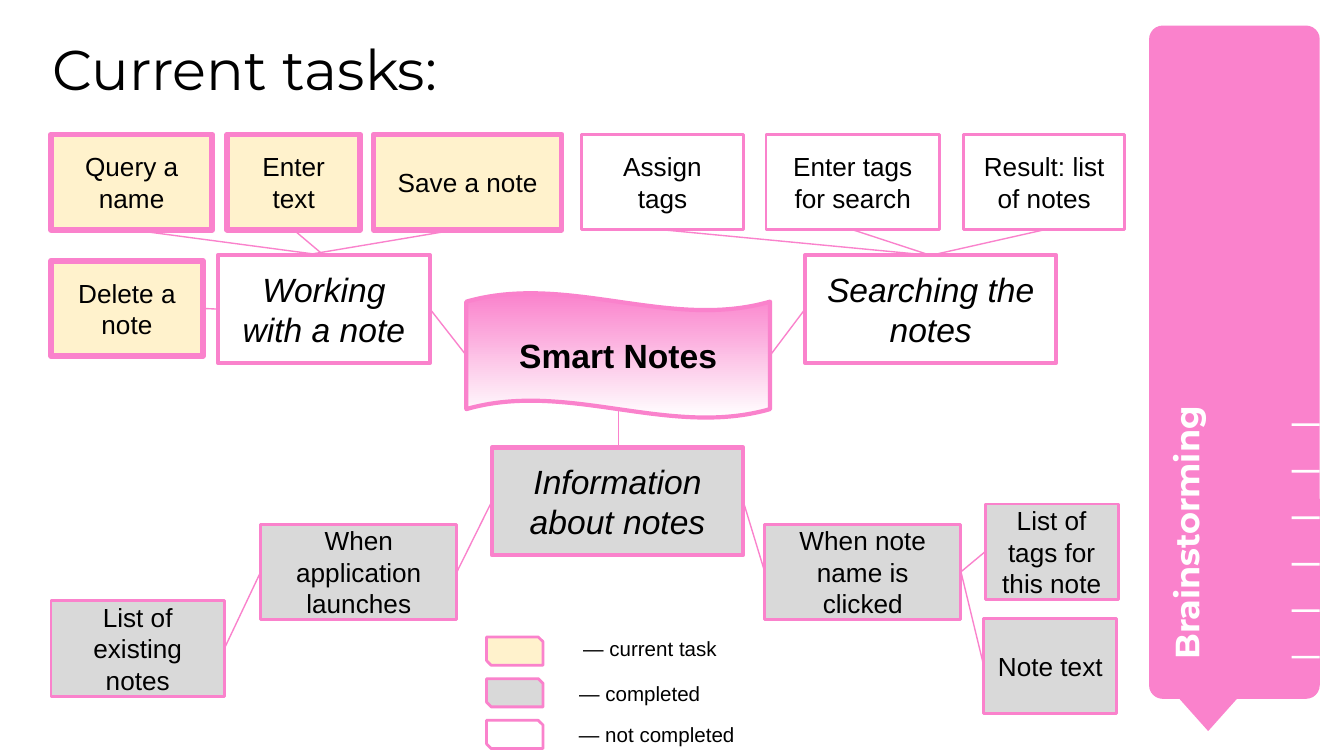
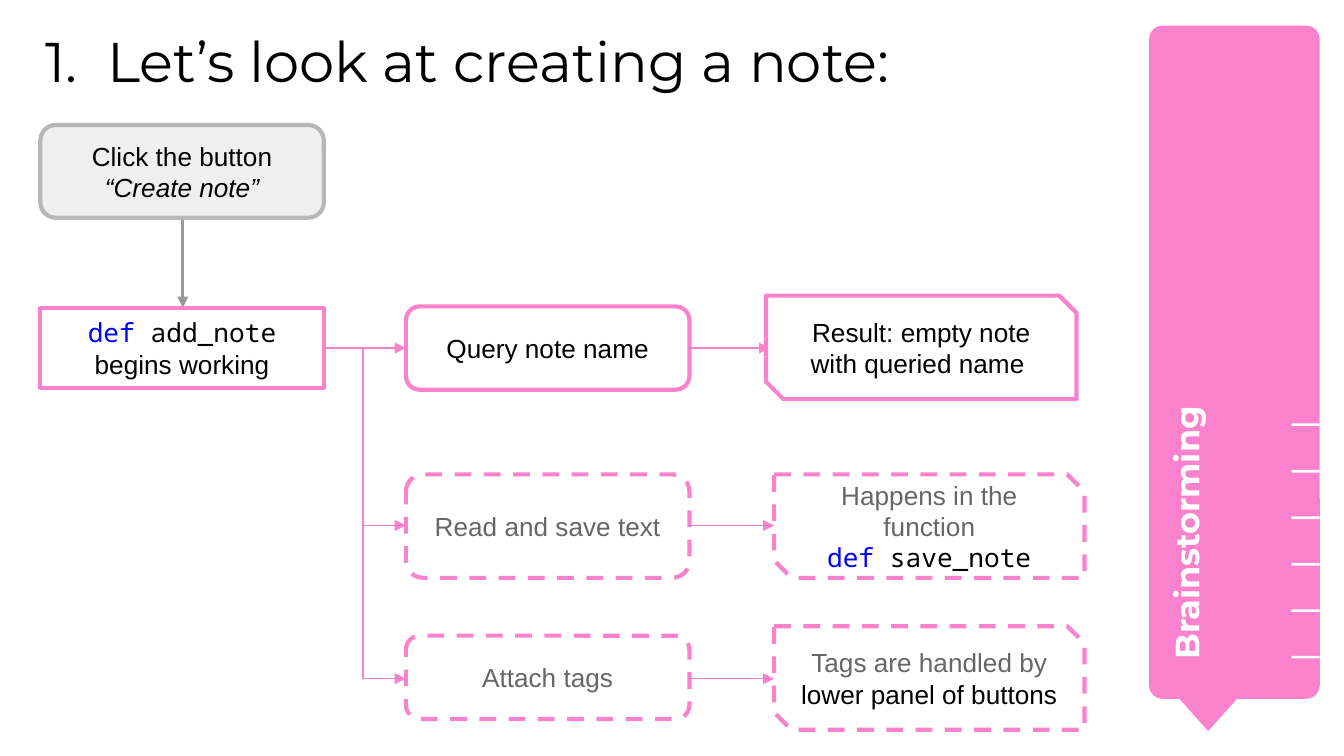
"""Build two brainstorming slides: a task map and a flow for creating a note."""
from lxml import etree
from pptx import Presentation
from pptx.dml.color import RGBColor
from pptx.enum.dml import MSO_LINE
from pptx.enum.shapes import MSO_CONNECTOR, MSO_SHAPE
from pptx.enum.text import MSO_ANCHOR, PP_ALIGN
from pptx.oxml.ns import qn
from pptx.util import Inches, Pt

RECT, ROUND = MSO_SHAPE.RECTANGLE, MSO_SHAPE.ROUNDED_RECTANGLE
STEP, SNIP = MSO_SHAPE.FLOWCHART_ALTERNATE_PROCESS, MSO_SHAPE.SNIP_2_DIAG_RECTANGLE
WAVE, POINT = MSO_SHAPE.WAVE, MSO_SHAPE.FLOWCHART_MERGE
LEFT, CENTER = PP_ALIGN.LEFT, PP_ALIGN.CENTER
TOP_TEXT, MID_TEXT = MSO_ANCHOR.TOP, MSO_ANCHOR.MIDDLE
STRAIGHT, ELBOW = MSO_CONNECTOR.STRAIGHT, MSO_CONNECTOR.ELBOW
DASH = MSO_LINE.DASH
TOP, WEST, BASE, EAST = range(4)


class Theme:
    pink, white, black = "FA82CC", "FFFFFF", "000000"
    cream, gray, pale = "FFF2CC", "D9D9D9", "EFEFEF"
    edge, arrow, dim, blue = "B7B7B7", "999999", "666666", "0000FF"
    sans, head, mono = "Arial", "Montserrat", "Noto Sans Mono"
    title, large, body, small = 30, 18, 14, 11
    thin, mid, bold, thick = 0.75, 1.5, 2.25, 3


def put(page, text, spot, kind=None, fill=None, line=None, width=Theme.bold, dash=None,
        font=Theme.sans, size=Theme.body, color=Theme.black, bold=False, slant=False,
        align=CENTER, anchor=MID_TEXT, pad=0.1, spin=0):
    spot = [Inches(n) for n in spot]
    if kind is None:
        shape = page.shapes.add_textbox(*spot)
    else:
        shape = page.shapes.add_shape(kind, *spot)
        shape.shadow.inherit = False
    shape.rotation = spin
    if fill:
        shape.fill.solid()
        shape.fill.fore_color.rgb = RGBColor.from_string(fill)
    if line:
        shape.line.color.rgb = RGBColor.from_string(line)
        shape.line.width = Pt(width)
        if dash:
            shape.line.dash_style = dash
    else:
        shape.line.fill.background()
    frame = shape.text_frame
    frame.word_wrap = True
    frame.vertical_anchor = anchor
    frame.margin_left = frame.margin_right = Inches(pad)
    frame.margin_top = frame.margin_bottom = Inches(pad)
    rows = [[(text, {})]] if isinstance(text, str) else text
    for i, row in enumerate(rows):
        para = frame.add_paragraph() if i else frame.paragraphs[0]
        para.alignment = align
        for words, look in row:
            if not words:
                continue
            run = para.add_run()
            run.text = words
            run.font.name = look.get("font", font)
            run.font.size = Pt(size)
            run.font.bold = bold
            run.font.italic = look.get("slant", slant)
            run.font.color.rgb = RGBColor.from_string(look.get("color", color))
    return shape


def link(page, spot=(0, 0, 0, 0), kind=STRAIGHT, tip=None, color=Theme.pink, width=Theme.thin):
    wire = page.shapes.add_connector(kind, *[Inches(n) for n in spot])
    wire.line.color.rgb = RGBColor.from_string(color)
    wire.line.width = Pt(width)
    props = wire._element.spPr
    if tip:
        etree.SubElement(props.find(qn("a:ln")), qn(tip), type="triangle")
    if kind == ELBOW:
        props.find(qn("a:prstGeom")).set("prst", "bentConnector2")
    etree.SubElement(props, qn("a:effectLst"))
    return wire


deck = Presentation()
deck.slide_width = Inches(10)
deck.slide_height = deck.slide_width * 9 // 16
blank = deck.slide_layouts[6]
pages, heads = [], []
for text, spot in [("Current tasks:", (0.39, 0.26, 7.94, 0.69)),
                   ("Let’s look at creating a note:", (0.3, 0.2, 8.07, 0.69))]:
    page = deck.slides.add_slide(blank)
    pages.append(page)
    band = put(page, "", (8.55, 0.19, 1.27, 5.01), ROUND, Theme.pink)
    band.adjustments[0] = 0.08
    put(page, "", (8.66, 5.07, 0.66, 0.37), POINT, Theme.pink)
    put(page, "Brainstorming", (7.14, 2.9, 3.54, 0.67), font=Theme.head, size=Theme.large,
        color=Theme.white, bold=True, align=LEFT, anchor=TOP_TEXT, spin=270)
    for i in range(6):
        put(page, "", (9.61, 3.15 + 1.73 * i / 5, 0.21, 0.02), RECT, Theme.white)
    heads.append(put(page, text, spot, font=Theme.head, size=Theme.title,
                     align=LEFT, anchor=TOP_TEXT, pad=0))

tasks, flow = pages
now = dict(fill=Theme.cream, width=Theme.thick)
done = dict(fill=Theme.gray, width=Theme.mid)
todo = dict(fill=Theme.white, width=Theme.mid)

core = put(tasks, "Smart Notes", (3.47, 2.18, 2.26, 0.93), WAVE, line=Theme.pink,
           size=Theme.large, bold=True)
core.adjustments[0] = 0.07
core.fill.gradient()
core.fill.gradient_angle = 270
for stop, color in zip(core.fill.gradient_stops, (Theme.pink, Theme.white)):
    stop.color.rgb = RGBColor.from_string(color)

nodes = {"core": core}
for name, text, left, top, wide, fill in [
    ("work", "Working with a note", 1.62, 1.9, 1.58, Theme.white),
    ("search", "Searching the notes", 5.99, 1.9, 1.87, Theme.white),
    ("info", "Information about notes", 3.66, 3.33, 1.87, Theme.gray),
]:
    nodes[name] = put(tasks, text, (left, top, wide, 0.8), RECT, fill, Theme.pink,
                      size=Theme.large, slant=True)

for name, text, left, top, wide, state in [
    ("query", "Query a name", 0.38, 1, 1.2, now),
    ("enter", "Enter text", 1.69, 1, 0.99, now),
    ("save", "Save a note", 2.78, 1, 1.4, now),
    ("delete", "Delete a note", 0.38, 1.94, 1.13, now),
    ("assign", "Assign tags", 4.33, 1, 1.2, todo),
    ("tags", "Enter tags for search", 5.7, 1, 1.29, todo),
    ("result", "Result: list of notes", 7.17, 1, 1.2, todo),
    ("launch", "When application launches", 1.94, 3.9, 1.46, done),
    ("notes", "List of existing notes", 0.38, 4.47, 1.29, done),
    ("click", "When note name is clicked", 5.69, 3.9, 1.46, done),
    ("list", "List of tags for this note", 7.33, 3.75, 0.99, done),
    ("text", "Note text", 7.32, 4.6, 0.99, done),
]:
    nodes[name] = put(tasks, text, (left, top, wide, 0.71), RECT, line=Theme.pink, **state)

for start, exit, end, entry in [
    ("work", TOP, "query", BASE), ("work", TOP, "enter", BASE),
    ("search", TOP, "assign", BASE), ("search", TOP, "tags", BASE),
    ("search", TOP, "result", BASE), ("delete", EAST, "work", WEST),
    ("core", WEST, "work", EAST), ("core", EAST, "search", WEST),
    ("info", WEST, "launch", EAST), ("launch", WEST, "notes", EAST),
    ("info", EAST, "click", WEST), ("click", EAST, "list", WEST), ("click", EAST, "text", WEST),
]:
    wire = link(tasks)
    wire.begin_connect(nodes[start], exit)
    wire.end_connect(nodes[end], entry)
for spot in [(2.26, 1.9, 3.39, 1.71), (4.6, 3.05, 4.6, 3.33)]:
    link(tasks, spot)

for i, (text, left, top, wide, fill) in enumerate([
    ("— current task", 4.24, 4.72, 1.73, Theme.cream),
    ("— completed", 4.21, 5.05, 1.58, Theme.gray),
    ("— not completed", 4.21, 5.36, 1.73, Theme.white),
]):
    put(tasks, "", (3.62, 4.74 + 0.31 * i, 0.42, 0.21), SNIP, fill, Theme.pink, Theme.mid)
    put(tasks, text, (left, top, wide, 0.21), size=Theme.small, align=LEFT)

props = heads[1].text_frame.paragraphs[0]._p.get_or_add_pPr()
props.set("marL", str(Inches(0.5)))
props.set("indent", str(Inches(-0.46)))
tint = etree.SubElement(props, qn("a:buClr"))
etree.SubElement(tint, qn("a:srgbClr"), val=Theme.black)
etree.SubElement(props, qn("a:buFont"), typeface=Theme.head)
etree.SubElement(props, qn("a:buAutoNum"), type="arabicPeriod")

code = dict(font=Theme.mono)
key = dict(font=Theme.mono, color=Theme.blue)
dark = dict(color=Theme.black)

link(flow, (1.36, 1.62, 1.36, 2.29), tip="a:tailEnd", color=Theme.arrow, width=Theme.mid)
for left, right, y in [(2.41, 3.02, 2.59), (5.12, 5.73, 2.59),
                       (5.12, 5.76, 3.91), (5.12, 5.76, 5.05)]:
    link(flow, (left, y, right, y), tip="a:tailEnd")
for low, high in [(3.91, 2.6), (5.05, 3.91)]:
    link(flow, (3.02, low, 2.7, high), ELBOW, "a:headEnd")

put(flow, [[("Click the button ", {}), ("“Create note”", dict(slant=True))]],
    (0.3, 0.93, 2.11, 0.69), ROUND, Theme.pale, Theme.edge)
put(flow, [[("def", key), (" add_note ", code), ("begins working", {})]],
    (0.3, 2.29, 2.11, 0.6), RECT, Theme.white, Theme.pink)

later = dict(dash=DASH, color=Theme.dim)
for text, top, tall, look in [
    ("Query note name", 2.28, 0.62, {}),
    ("Read and save text", 3.53, 0.77, later),
    ("Attach tags", 4.73, 0.62, later),
]:
    put(flow, text, (3.02, top, 2.11, tall), STEP, Theme.white, Theme.pink, **look)

for text, left, top, look in [
    ("Result: empty note with queried name ", 5.7, 2.2, {}),
    ([[("Happens in the function", {})],
      [("def", key), (" save_note", dict(code, **dark))]], 5.76, 3.53, later),
    ([[("Tags are handled by ", {}), ("lower panel of buttons", dark)]], 5.76, 4.66, later),
]:
    put(flow, text, (left, top, 2.31, 0.77), SNIP, Theme.white, Theme.pink, **look)

deck.save("out.pptx")
